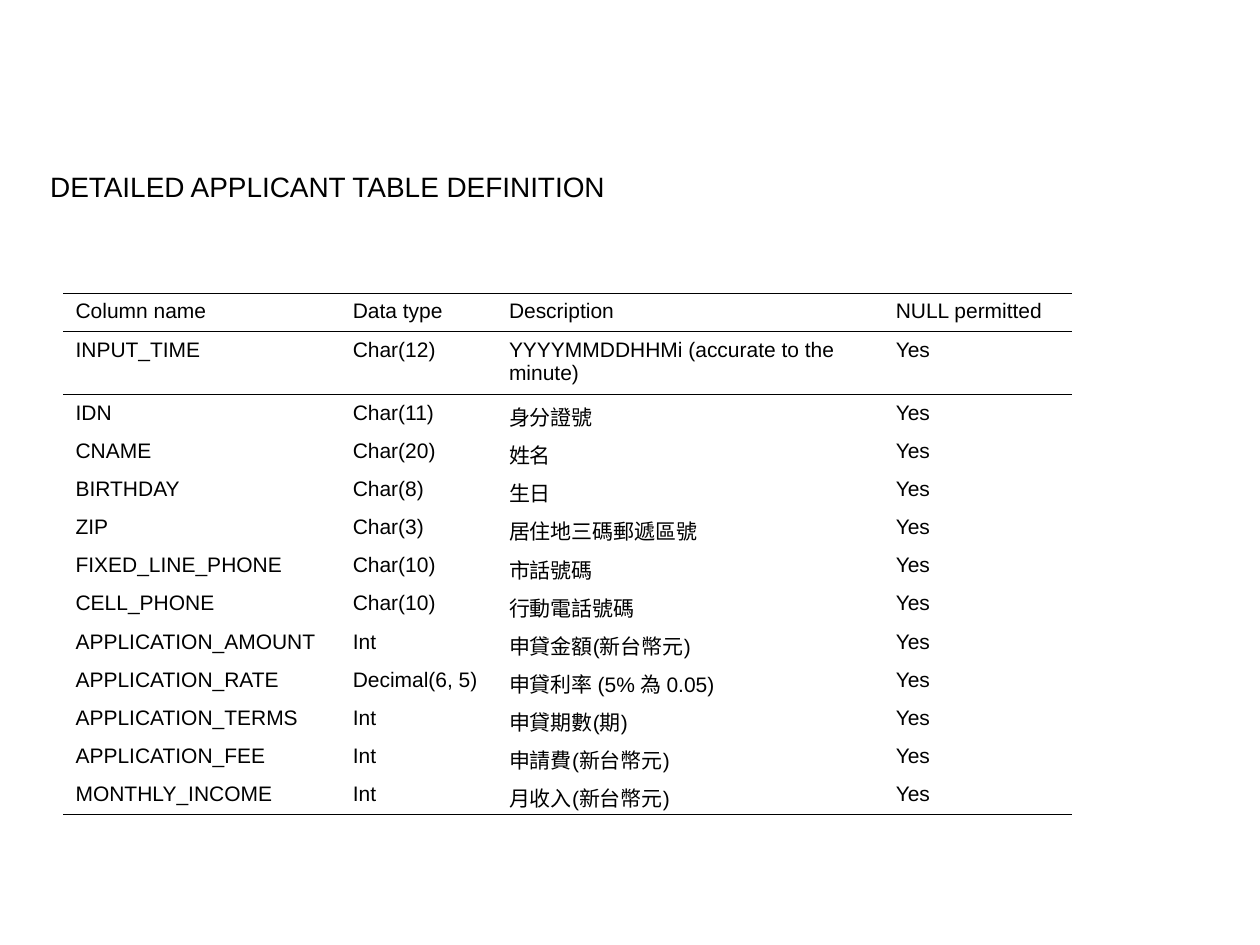
from typing import NamedTuple

from pptx import Presentation, util as u
from pptx.dml.color import RGBColor
from pptx.enum import text
from pptx.oxml import parse_xml
from pptx.oxml.ns import nsdecls

FONT = "Arial"
BLACK = "000000"
NO_STYLE = "{2D5ABB26-0587-4C30-8999-92F81FD0307C}"
OUTER_RULE, HEADER_RULE = 0.75, 0.45
COLUMN_WIDTHS = (2.2, 1.24, 3.07, 1.5)
ROW_HEIGHT = u.Pt(21.8)
WRAPPED_ROW_HEIGHT = u.Inches(0.5)


class Field(NamedTuple):
    name: str
    data_type: str
    description: str
    nullable: str = "Yes"


HEADER = Field("Column name", "Data type", "Description", "NULL permitted")
FIELDS = (
    Field("INPUT_TIME", "Char(12)", "YYYYMMDDHHMi (accurate to the minute)"),
    Field("IDN", "Char(11)", "身分證號"),
    Field("CNAME", "Char(20)", "姓名"),
    Field("BIRTHDAY", "Char(8)", "生日"),
    Field("ZIP", "Char(3)", "居住地三碼郵遞區號"),
    Field("FIXED_LINE_PHONE", "Char(10)", "市話號碼"),
    Field("CELL_PHONE", "Char(10)", "行動電話號碼"),
    Field("APPLICATION_AMOUNT", "Int", "申貸金額(新台幣元)"),
    Field("APPLICATION_RATE", "Decimal(6, 5)", "申貸利率 (5% 為 0.05)"),
    Field("APPLICATION_TERMS", "Int", "申貸期數(期)"),
    Field("APPLICATION_FEE", "Int", "申請費(新台幣元)"),
    Field("MONTHLY_INCOME", "Int", "月收入(新台幣元)"),
)


def rgb(hex_color: str) -> RGBColor:
    return RGBColor.from_string(hex_color)


def write(frame, content: str, *, size: float, color: str = BLACK) -> None:
    frame.word_wrap = True
    paragraph = frame.paragraphs[0]
    paragraph.alignment = text.PP_ALIGN.LEFT
    run = paragraph.add_run()
    run.text = content
    run.font.name = FONT
    run.font.size = u.Pt(size)
    run.font.color.rgb = rgb(color)


def rule_cell(cell, *, top: float = 0, bottom: float = 0) -> None:
    """Draw horizontal rules, with widths in points, on a cell's edges."""
    edges = [(tag, width) for tag, width in (("lnT", top), ("lnB", bottom)) if width]
    properties = cell._tc.get_or_add_tcPr()
    for position, (tag, width) in enumerate(edges):
        properties.insert(position, parse_xml(
            f'<a:{tag} {nsdecls("a")} w="{u.Pt(width)}"><a:solidFill>'
            f'<a:srgbClr val="{BLACK}"/></a:solidFill></a:{tag}>'))


def add_title(slide, content: str) -> None:
    box = slide.shapes.add_textbox(
        u.Inches(0.3), u.Inches(1.3), u.Inches(9.29), u.Inches(0.37))
    write(box.text_frame, content, size=16)


def add_definition_table(slide, records: tuple[Field, ...]) -> None:
    heights = [ROW_HEIGHT] * len(records)
    heights[1] = WRAPPED_ROW_HEIGHT
    table = slide.shapes.add_table(
        len(records), len(COLUMN_WIDTHS), u.Inches(0.5), u.Inches(2.33),
        u.Inches(sum(COLUMN_WIDTHS)), sum(heights)).table
    table.first_row = table.horz_banding = False
    table._tbl.tblPr[0].text = NO_STYLE
    for column, width in zip(table.columns, COLUMN_WIDTHS):
        column.width = u.Inches(width)

    rules = {
        0: {"top": OUTER_RULE, "bottom": HEADER_RULE},
        1: {"top": HEADER_RULE},
        len(records) - 1: {"bottom": OUTER_RULE},
    }
    for index, (row, height, record) in enumerate(zip(table.rows, heights, records)):
        row.height = height
        for cell, content in zip(row.cells, record):
            cell.fill.background()
            rule_cell(cell, **rules.get(index, {}))
            write(cell.text_frame, content, size=12)


def main() -> None:
    deck = Presentation()
    deck.slide_width, deck.slide_height = u.Inches(10), u.Inches(7.5)
    slide = deck.slides.add_slide(deck.slide_layouts[6])
    add_title(slide, "DETAILED APPLICANT TABLE DEFINITION")
    add_definition_table(slide, (HEADER, *FIELDS))
    deck.save("out.pptx")


if __name__ == "__main__":
    main()
